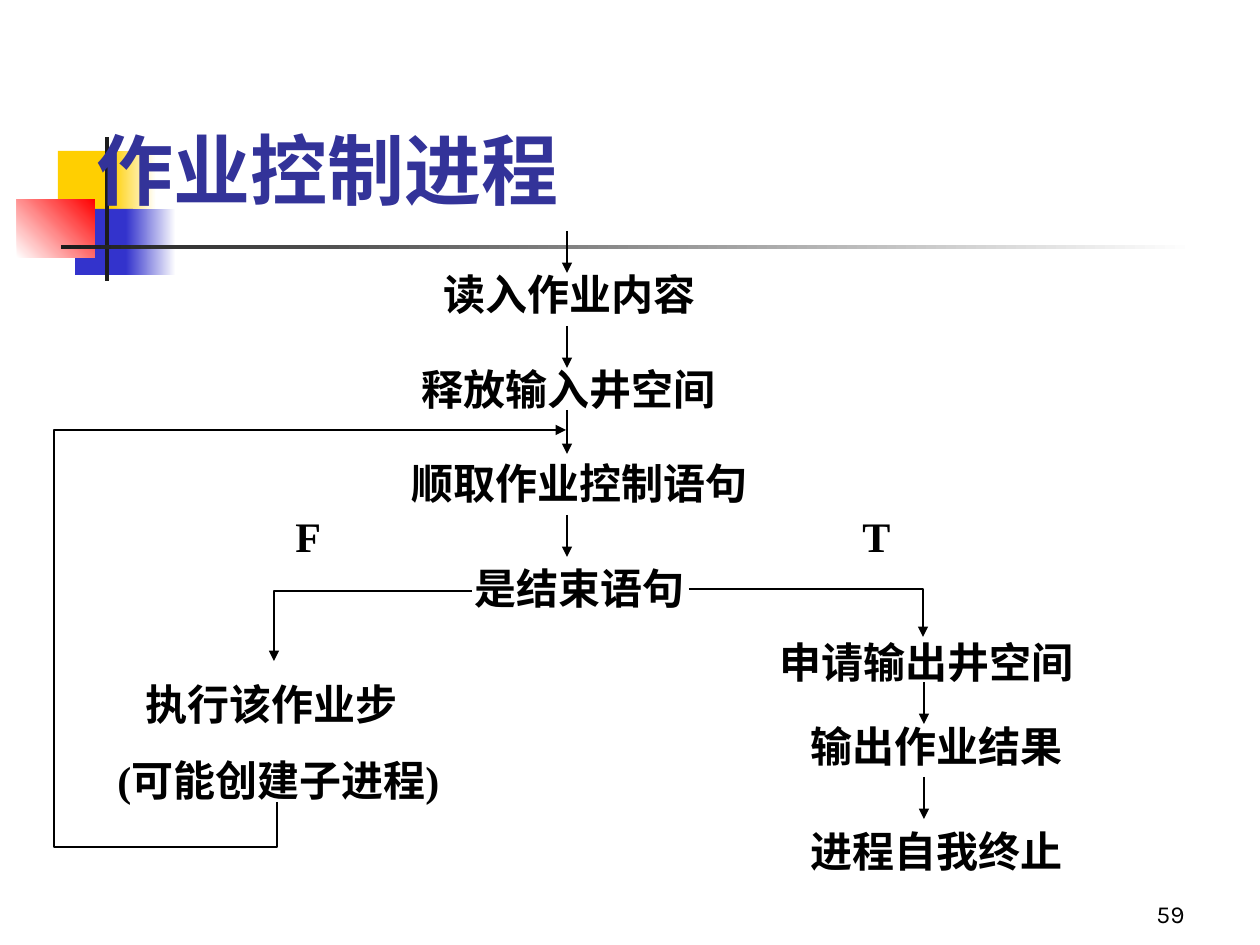
from typing import NamedTuple, Optional

from lxml import etree
from pptx import Presentation
from pptx import util as u
from pptx.dml.color import RGBColor
from pptx.enum import shapes, text
from pptx.oxml.ns import qn

PX = 914400 / 126  # EMU per px

BLACK = RGBColor(0x00, 0x00, 0x00)
WHITE = RGBColor(0xFF, 0xFF, 0xFF)
DARK = RGBColor(0x1C, 0x1C, 0x1C)
GOLD = RGBColor(0xFF, 0xCF, 0x01)
BLUE = RGBColor(0x33, 0x33, 0xCC)
RED = RGBColor(0xFF, 0x00, 0x00)
NAVY = RGBColor(0x33, 0x33, 0x99)

SERIF, SANS = "Times New Roman", "Karla"


class Block(NamedTuple):
    x: int
    y: int
    w: int
    h: int
    color: RGBColor
    fade: Optional[RGBColor] = None
    angle: int = 0


class Label(NamedTuple):
    x: int
    y: int
    w: int
    h: int
    lines: tuple[str, ...]
    indent: int = 0  # of the first line
    size: int = 24
    face: str = SERIF
    color: RGBColor = BLACK
    bold: bool = True
    anchor: text.MSO_ANCHOR = text.MSO_ANCHOR.TOP
    align: text.PP_ALIGN = text.PP_ALIGN.LEFT


class Arrow(NamedTuple):
    x: int
    top: int
    end: int


BLOCKS = [
    Block(58, 151, 60, 66, GOLD),
    Block(111, 151, 45, 66, GOLD, WHITE),
    Block(75, 209, 58, 66, BLUE),
    Block(126, 209, 50, 66, BLUE, WHITE),
    Block(17, 199, 78, 59, WHITE, RED, 45),
    Block(105, 137, 4, 144, DARK),
    Block(61, 245, 1134, 4, DARK, WHITE),
]

LABELS = [
    Label(84, 63, 1071, 158, ("作业控制进程",), size=44, face=SANS,
          color=NAVY, anchor=text.MSO_ANCHOR.BOTTOM),
    Label(431, 262, 284, 63, ("读入作业内容",)),
    Label(409, 357, 326, 63, ("释放输入井空间",)),
    Label(399, 451, 378, 63, ("顺取作业控制语句",)),
    Label(462, 556, 252, 63, ("是结束语句",)),
    Label(105, 672, 368, 140, ("执行该作业步", "(可能创建子进程)"), indent=28),
    Label(767, 630, 326, 63, ("申请输出井空间",)),
    Label(798, 714, 284, 63, ("输出作业结果",)),
    Label(798, 819, 284, 63, ("进程自我终止",)),
    Label(283, 504, 74, 63, ("F",)),
    Label(850, 504, 74, 63, ("T",)),
    Label(935, 872, 262, 63, ("59",), size=14, face=SANS, bold=False,
          anchor=text.MSO_ANCHOR.BOTTOM, align=text.PP_ALIGN.RIGHT),
]

MAIN, SIDE = 567, 924  # x of the two arrow columns
ARROWS = [
    Arrow(MAIN, 231, 273),
    Arrow(MAIN, 326, 368),
    Arrow(MAIN, 410, 454),
    Arrow(MAIN, 515, 557),
    Arrow(SIDE, 682, 724),
    Arrow(SIDE, 777, 819),
]

ROUTES = [
    [(472, 591), (274, 591), (274, 661)],
    [(277, 802), (277, 847), (54, 847), (54, 430), (566, 430)],
    [(689, 589), (923, 589), (923, 637)],
]


def emu(*px: int) -> list[int]:
    return [round(n * PX) for n in px]


def draw_block(slide, b: Block) -> None:
    box = slide.shapes.add_shape(shapes.MSO_SHAPE.RECTANGLE,
                                 *emu(b.x, b.y, b.w, b.h))
    box.shadow.inherit = False
    box.line.fill.background()
    if b.fade is None:
        box.fill.solid()
        box.fill.fore_color.rgb = b.color
        return
    box.fill.gradient()
    box.fill.gradient_angle = b.angle
    for stop, color, pos in zip(box.fill.gradient_stops, (b.color, b.fade), (0, 1)):
        stop.color.rgb = color
        stop.position = pos


def draw_label(slide, l: Label) -> None:
    frame = slide.shapes.add_textbox(*emu(l.x, l.y, l.w, l.h)).text_frame
    frame.word_wrap = True
    frame.vertical_anchor = l.anchor
    for i, line in enumerate(l.lines):
        para = frame.add_paragraph() if i else frame.paragraphs[0]
        para.text = line
        para.alignment = l.align
        if i:
            para.space_before = u.Pt(15)
        elif l.indent:
            para._p.get_or_add_pPr().set("marL", str(emu(l.indent)[0]))
        font = para.font
        font.name, font.size, font.bold = l.face, u.Pt(l.size), l.bold
        font.color.rgb = l.color


def style_line(shape) -> None:
    shape.line.color.rgb = BLACK
    shape.line.width = u.Pt(0.75)
    etree.SubElement(shape.line._get_or_add_ln(), qn("a:tailEnd"), type="triangle")


def draw_arrow(slide, a: Arrow) -> None:
    line = slide.shapes.add_connector(shapes.MSO_CONNECTOR.STRAIGHT,
                                      *emu(a.x, a.top, a.x, a.end))
    style_line(line)
    etree.SubElement(line._element.spPr, qn("a:effectLst"))


def draw_route(slide, points: list[tuple[int, int]]) -> None:
    first, *rest = points
    build = slide.shapes.build_freeform(*first, scale=PX)
    build.add_line_segments(rest, close=False)
    route = build.convert_to_shape()
    route.shadow.inherit = False
    route.fill.background()
    style_line(route)


def main() -> None:
    deck = Presentation()
    deck.slide_width, deck.slide_height = emu(1260, 945)
    slide = deck.slides.add_slide(deck.slide_layouts[6])

    # Corner ornament and rule
    for block in BLOCKS:
        draw_block(slide, block)
    # Title, steps and page number
    for label in LABELS:
        draw_label(slide, label)
    # Flow between the steps
    for arrow in ARROWS:
        draw_arrow(slide, arrow)
    for route in ROUTES:
        draw_route(slide, route)

    deck.save("out.pptx")


if __name__ == "__main__":
    main()
